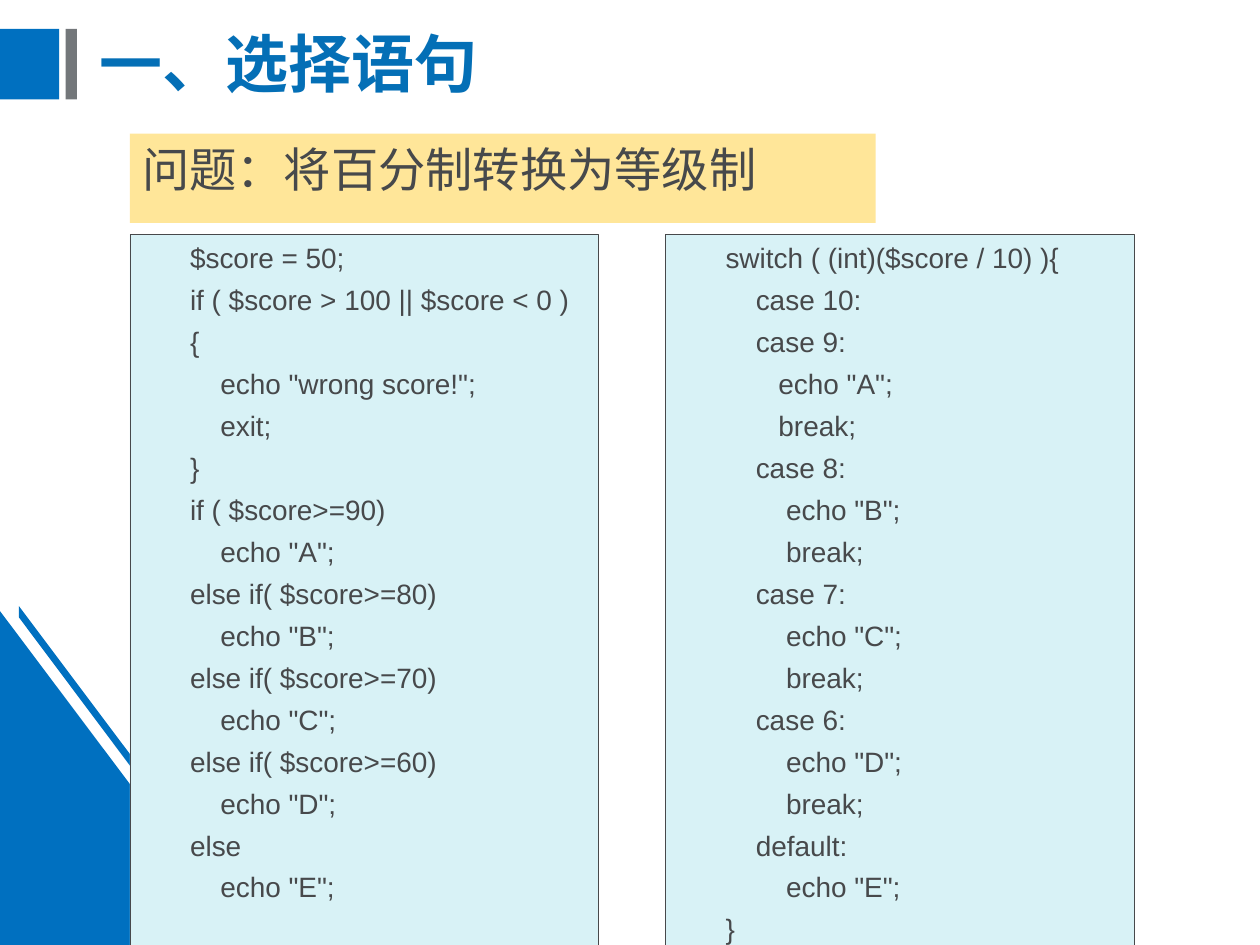
from dataclasses import dataclass

from pptx import Presentation
from pptx.dml.color import RGBColor
from pptx.enum.shapes import MSO_SHAPE
from pptx.enum.text import MSO_ANCHOR, MSO_AUTO_SIZE, PP_ALIGN
from pptx.oxml.ns import qn
from pptx.util import Inches, Pt

RECT, TRIANGLE = MSO_SHAPE.RECTANGLE, MSO_SHAPE.RIGHT_TRIANGLE
TOP, MIDDLE = MSO_ANCHOR.TOP, MSO_ANCHOR.MIDDLE
LEFT, JUSTIFY = PP_ALIGN.LEFT, PP_ALIGN.JUSTIFY
NO_FIT = MSO_AUTO_SIZE.NONE

COLORS = {
    "blue": "0070C0",
    "gray": "73777A",
    "title": "046FB6",
    "text": "47494B",
    "code": "D8F2F6",
    "question": "FFE699",
}
CJK_FONT, CODE_FONT = "Noto Sans CJK SC", "Arial"
SPACE_WIDTH = 0.06  # one space of 16 pt Arial, in inches
HANGING = 0.38

IF_CODE = """\
$score = 50;
if ( $score > 100 || $score < 0 )
{
    echo "wrong score!";
    exit;
}
if ( $score>=90)
    echo "A";
else if( $score>=80)
    echo "B";
else if( $score>=70)
    echo "C";
else if( $score>=60)
    echo "D";
else
    echo "E";"""

SWITCH_CODE = """\
switch ( (int)($score / 10) ){
    case 10:
    case 9:
       echo "A";
       break;
    case 8:
        echo "B";
        break;
    case 7:
        echo "C";
        break;
    case 6:
        echo "D";
        break;
    default:
        echo "E";
}"""


@dataclass
class Box:
    left: float
    top: float
    width: float
    height: float
    fill: str
    preset: MSO_SHAPE = RECT
    line: str | None = None


DECORATIONS = [
    Box(0, 0.23, 0.47, 0.56, "blue"),
    Box(0.52, 0.23, 0.09, 0.56, "gray"),
    Box(0, 4.85, 1.99, 2.65, "blue", TRIANGLE),
]
STRIPE = [(0.15, 4.81), (2.04, 7.33), (1.97, 7.33), (0.15, 4.9)]
CODE_PANELS = [
    (Box(1.03, 1.86, 3.72, 5.64, "code", line="text"), IF_CODE),
    (Box(5.28, 1.86, 3.72, 5.64, "code", line="text"), SWITCH_CODE),
]
QUESTION = Box(1.03, 1.06, 5.92, 0.71, "question")


def rgb(name: str) -> RGBColor:
    return RGBColor.from_string(COLORS[name])


def paint(sp, fill: str, line: str | None = None) -> None:
    sp.shadow.inherit = False
    sp.fill.solid()
    sp.fill.fore_color.rgb = rgb(fill)
    if line:
        sp.line.color.rgb = rgb(line)
        sp.line.width = Pt(0.25)
    else:
        sp.line.fill.background()


def add_box(s, box: Box):
    sp = s.shapes.add_shape(box.preset, Inches(box.left), Inches(box.top),
                            Inches(box.width), Inches(box.height))
    paint(sp, box.fill, box.line)
    return sp


def add_stripe(s) -> None:
    points = [(Inches(x), Inches(y)) for x, y in STRIPE]
    builder = s.shapes.build_freeform(*points[0])
    builder.add_line_segments(points[1:], close=True)
    paint(builder.convert_to_shape(), "blue")


def write(sp, text: str, *, size: float, font: str, color: str = "text",
          bold: bool = False, align: PP_ALIGN = LEFT, anchor: MSO_ANCHOR = TOP,
          hanging: float = 0, before: float = 0, after: float = 0,
          spacing: float = 1.0) -> None:
    """Write one paragraph a line, turning leading spaces into an indent."""
    tf = sp.text_frame
    tf.word_wrap = True
    tf.auto_size = NO_FIT
    tf.vertical_anchor = anchor
    for i, line in enumerate(text.splitlines()):
        p = tf.add_paragraph() if i else tf.paragraphs[0]
        content = line.lstrip()
        margin = 2 * hanging + SPACE_WIDTH * (len(line) - len(content))
        pPr = p._p.get_or_add_pPr()
        pPr.set("marL", str(Inches(margin)))
        pPr.set("indent", str(Inches(-hanging)))
        p.alignment = align
        p.line_spacing = spacing
        p.space_before, p.space_after = Pt(before), Pt(after)
        r = p.add_run()
        r.text = content
        r.font.size, r.font.bold, r.font.name = Pt(size), bold, font
        r.font.color.rgb = rgb(color)
        ea = r.font._element.makeelement(qn("a:ea"), {"typeface": font})
        r.font._element.append(ea)


def add_title(s, text: str) -> None:
    title = s.shapes.title
    title.left, title.top = Inches(0.69), Inches(0.1)
    title.width, title.height = Inches(8.9), Inches(0.87)
    write(title, text, size=36, font=CJK_FONT, color="title", bold=True,
          anchor=MIDDLE, spacing=0.9)


def main() -> None:
    prs = Presentation()
    prs.slide_width, prs.slide_height = Inches(10), Inches(7.5)
    s = prs.slides.add_slide(prs.slide_layouts[5])

    for box in DECORATIONS:
        add_box(s, box)
    add_stripe(s)
    add_title(s, "一、选择语句")
    for box, code in CODE_PANELS:
        write(add_box(s, box), code, size=16, font=CODE_FONT,
              hanging=HANGING, before=4.8)
    write(add_box(s, QUESTION), "问题：将百分制转换为等级制", size=27,
          font=CJK_FONT, align=JUSTIFY, after=9)

    prs.save("out.pptx")


if __name__ == "__main__":
    main()
